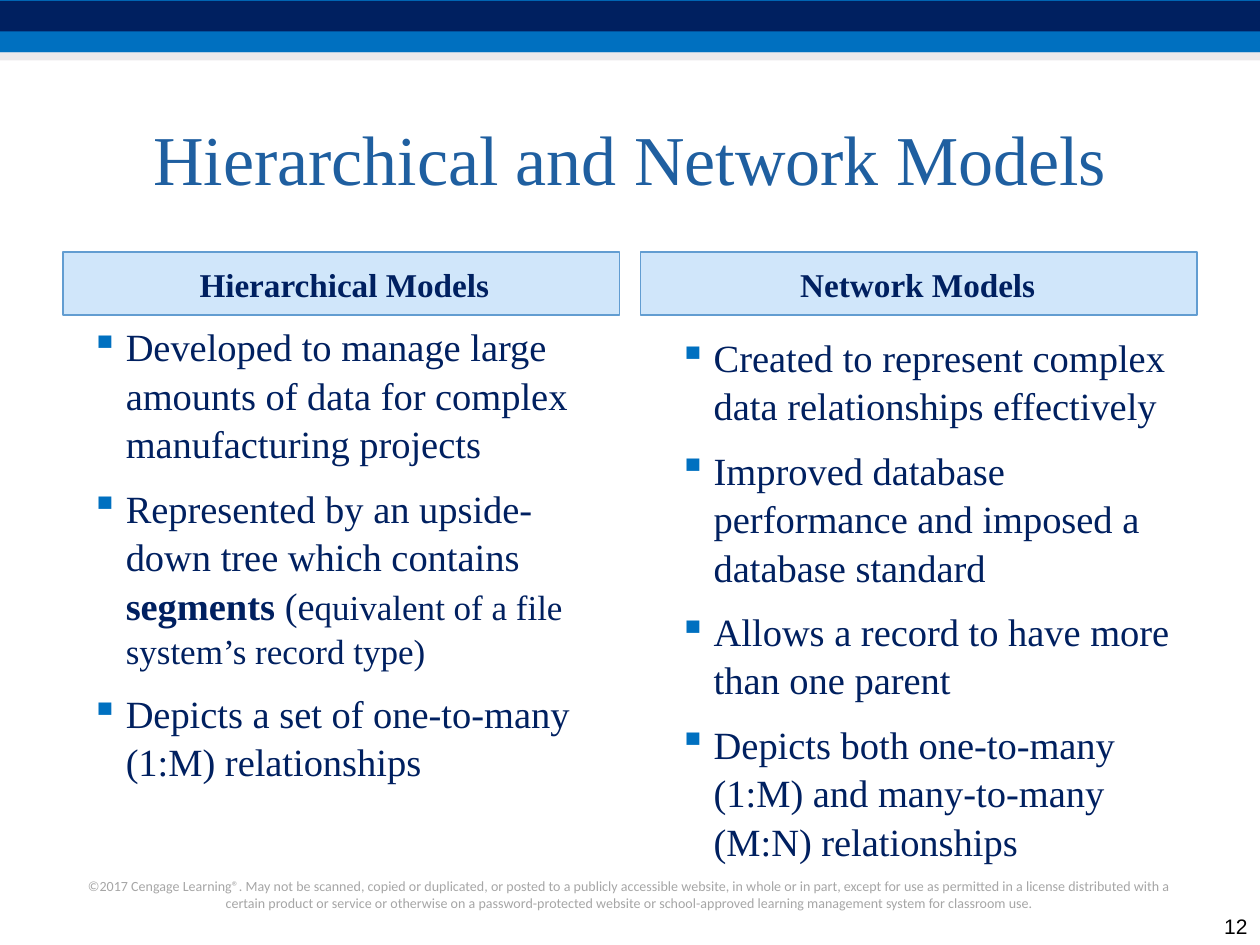
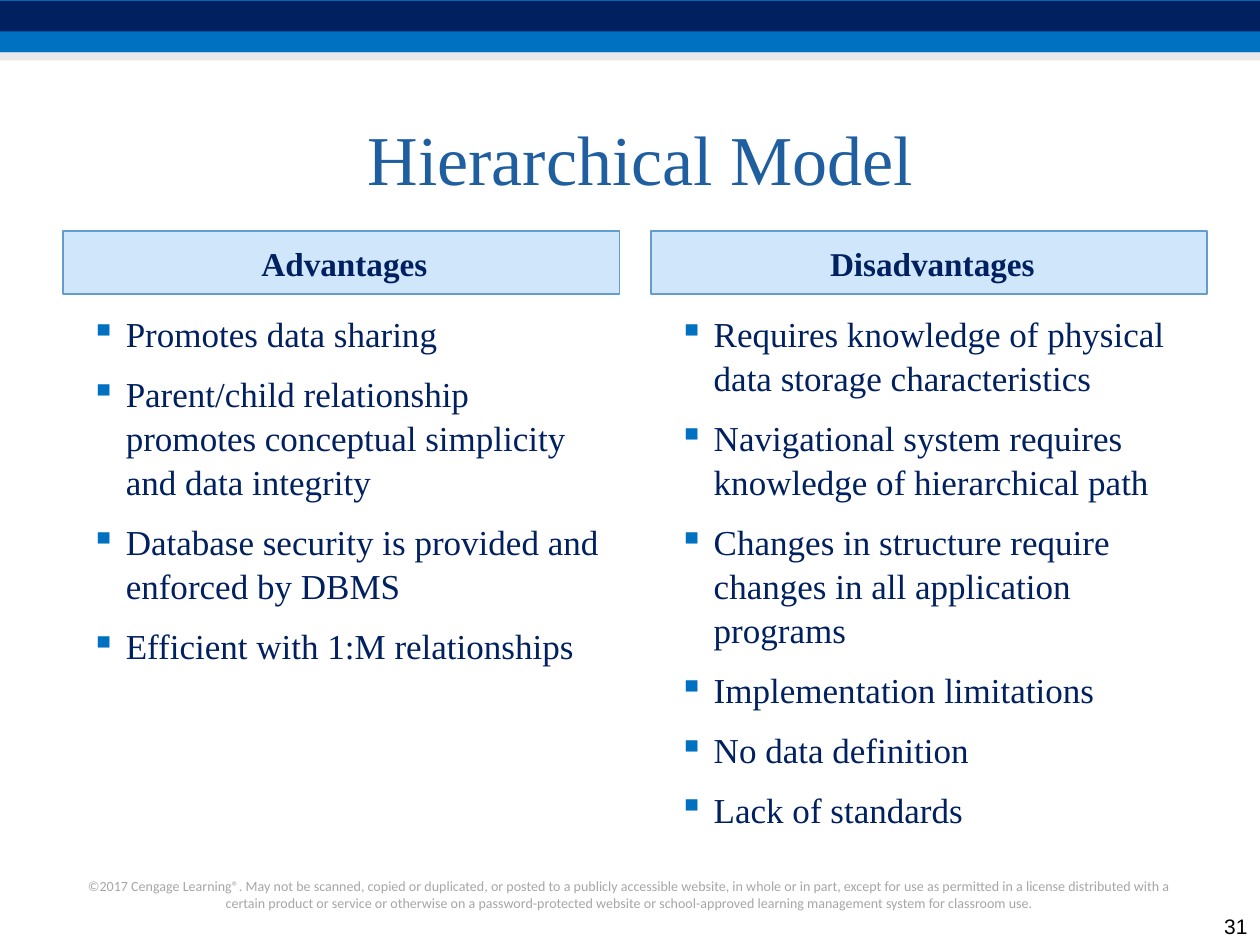
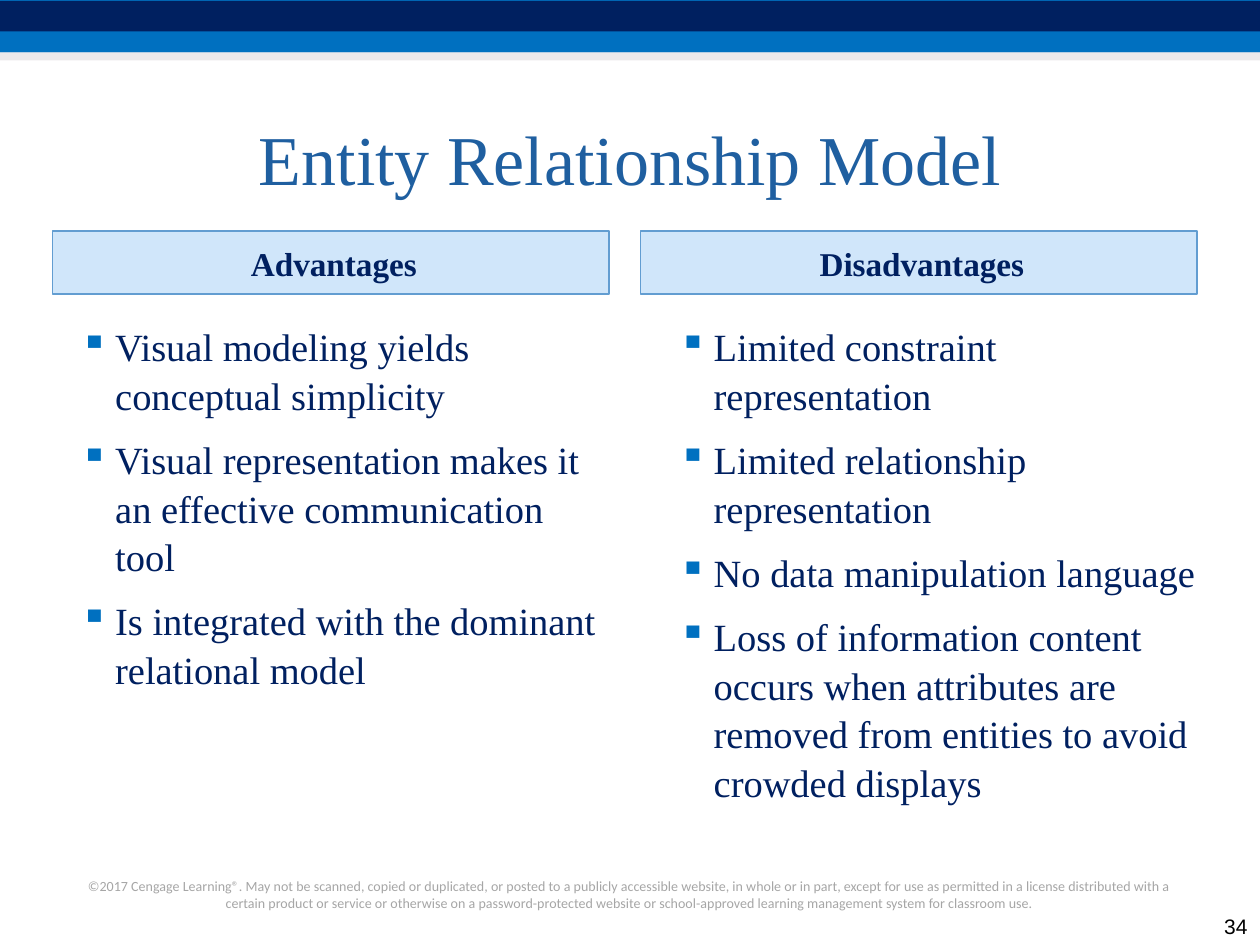
import lxml.etree
import pptx
import pptx.dml.color
import pptx.enum.shapes
import pptx.enum.text
import pptx.oxml.ns
import pptx.util

Pt = pptx.util.Pt
ALIGN = pptx.enum.text.PP_ALIGN
ANCHOR = pptx.enum.text.MSO_ANCHOR
RECTANGLE = pptx.enum.shapes.MSO_SHAPE.RECTANGLE

COLORS = {
    "blue": "0070C0",
    "navy": "002060",
    "mist": "D8D3D9",
    "title": "1F5FA0",
    "header": "469FED",
    "border": "629DD1",
    "footer": "A6A6A6",
    "black": "000000",
}
SERIF = "Times New Roman"
FOOTER = (
    "©2017 Cengage Learning®. May not be scanned, copied or duplicated, or posted to a "
    "publicly accessible website, in whole or in part, except for use as permitted in a "
    "license distributed with a certain product or service or otherwise on a "
    "password-protected website or school-approved learning management system for classroom use."
)
BANDS = [(0, 30, "blue", 100), (0.6, 17.4, "navy", 100), (30, 4.5, "mist", 50)]
COLUMN_WIDTH = 318
HEADER_HEIGHT = 36
BODY_HEIGHT = 306

SLIDES = [
    {
        "title": "Hierarchical and Network Models",
        "title_left": 30,
        "number": "12",
        "header_top": 144,
        "size": 22,
        "columns": [
            {
                "header": "Hierarchical Models",
                "header_left": 36,
                "body_at": (36, 180),
                "points": [
                    "Developed to manage large amounts of data for complex manufacturing projects",
                    [
                        ("Represented by an upside-down tree which contains ", 22, False),
                        ("segments ", 22, True),
                        ("(e", 22, False),
                        ("quivalent of a file system’s record type)", 20, False),
                    ],
                    "Depicts a set of one-to-many (1:M) relationships",
                ],
            },
            {
                "header": "Network Models ",
                "header_left": 366,
                "body_at": (372, 186),
                "points": [
                    "Created to represent complex data relationships effectively",
                    "Improved database performance and imposed a database standard",
                    "Allows a record to have more than one parent",
                    "Depicts both one-to-many (1:M) and many-to-many (M:N) relationships",
                ],
            },
        ],
    },
    {
        "title": "Hierarchical Model",
        "title_left": 36,
        "number": "31",
        "header_top": 132,
        "size": 20,
        "columns": [
            {
                "header": "Advantages",
                "header_left": 36,
                "body_at": (36, 174),
                "points": [
                    "Promotes data sharing",
                    "Parent/child relationship promotes conceptual simplicity and data integrity",
                    "Database security is provided and enforced by DBMS",
                    "Efficient with 1:M relationships",
                ],
            },
            {
                "header": "Disadvantages",
                "header_left": 372,
                "body_at": (372, 174),
                "points": [
                    "Requires knowledge of physical data storage characteristics",
                    "Navigational system requires knowledge of hierarchical path",
                    "Changes in structure require changes in all application programs",
                    "Implementation limitations",
                    "No data definition",
                    "Lack of standards",
                ],
            },
        ],
    },
    {
        "title": "Entity Relationship Model",
        "title_left": 30,
        "number": "34",
        "header_top": 132,
        "size": 22,
        "columns": [
            {
                "header": "Advantages",
                "header_left": 30,
                "body_at": (30, 180),
                "points": [
                    "Visual modeling yields conceptual simplicity",
                    "Visual representation makes it an effective communication tool",
                    "Is integrated with the dominant relational model",
                ],
            },
            {
                "header": "Disadvantages",
                "header_left": 366,
                "body_at": (372, 180),
                "points": [
                    "Limited constraint representation",
                    "Limited relationship representation",
                    "No data manipulation language",
                    "Loss of information content occurs when attributes are removed "
                    "from entities to avoid crowded displays",
                ],
            },
        ],
    },
]


def add_rectangle(page, left, top, width, height, color, opacity=100):
    box = page.shapes.add_shape(RECTANGLE, Pt(left), Pt(top), Pt(width), Pt(height))
    box.shadow.inherit = False
    box.line.fill.background()
    box.fill.solid()
    box.fill.fore_color.rgb = pptx.dml.color.RGBColor.from_string(COLORS[color])
    if opacity < 100:
        tint = box.fill._xPr.find(".//" + pptx.oxml.ns.qn("a:srgbClr"))
        lxml.etree.SubElement(tint, pptx.oxml.ns.qn("a:alpha"), val=str(opacity * 1000))
    return box


def write_text(box, paragraphs, size, color, font=SERIF, bold=False, align=ALIGN.LEFT,
               anchor=ANCHOR.TOP, indent=0, spacing=1, bullets=False):
    frame = box.text_frame
    frame.word_wrap = True
    frame.vertical_anchor = anchor
    for index, content in enumerate(paragraphs):
        para = frame.add_paragraph() if index else frame.paragraphs[0]
        para.alignment = align
        para.line_spacing = spacing
        properties = para._p.get_or_add_pPr()
        properties.set("marL", str(Pt(indent)))
        if bullets:
            properties.set("indent", str(Pt(-20)))
            para.space_before = Pt(3 if index else 0)
            para.space_after = Pt(6)
            mark = lxml.etree.SubElement(properties, pptx.oxml.ns.qn("a:buClr"))
            lxml.etree.SubElement(mark, pptx.oxml.ns.qn("a:srgbClr"), val=COLORS["blue"])
            lxml.etree.SubElement(properties, pptx.oxml.ns.qn("a:buChar"), char="▪")
        pieces = [(content, size, bold)] if isinstance(content, str) else content
        for text, span_size, span_bold in pieces:
            span = para.add_run()
            span.text = text
            span.font.name = font
            span.font.size = Pt(span_size)
            span.font.bold = span_bold
            span.font.color.rgb = pptx.dml.color.RGBColor.from_string(COLORS[color])


deck = pptx.Presentation()
deck.slide_width = Pt(720)
deck.slide_height = Pt(540)

for content in SLIDES:
    page = deck.slides.add_slide(deck.slide_layouts[6])

    for top, height, color, opacity in BANDS:
        add_rectangle(page, 0, top, 720, height, color, opacity)

    footer = page.shapes.add_textbox(Pt(42), Pt(498), Pt(636), Pt(26.4))
    write_text(footer, [FOOTER], 8, "footer", font="Calibri", align=ALIGN.CENTER)

    title = page.shapes.add_textbox(Pt(content["title_left"]), Pt(48), Pt(660), Pt(84))
    write_text(title, [content["title"]], 40, "title", align=ALIGN.CENTER, anchor=ANCHOR.MIDDLE)

    for column in content["columns"]:
        header = add_rectangle(page, column["header_left"], content["header_top"],
                               COLUMN_WIDTH, HEADER_HEIGHT, "header", 25)
        header.line.color.rgb = pptx.dml.color.RGBColor.from_string(COLORS["border"])
        header.line.width = Pt(1)
        write_text(header, [column["header"]], 19, "navy", bold=True, align=ALIGN.CENTER,
                   anchor=ANCHOR.MIDDLE, indent=3.6, spacing=1.05)

        left, top = column["body_at"]
        body = page.shapes.add_textbox(Pt(left), Pt(top), Pt(COLUMN_WIDTH), Pt(BODY_HEIGHT))
        write_text(body, column["points"], content["size"], "navy", indent=28.8,
                   spacing=1.05, bullets=True)

    number = page.shapes.add_textbox(Pt(684), Pt(516), Pt(36), Pt(24))
    write_text(number, [content["number"]], 12, "black", font="Arial", align=ALIGN.RIGHT,
               anchor=ANCHOR.BOTTOM)

deck.save("out.pptx")
